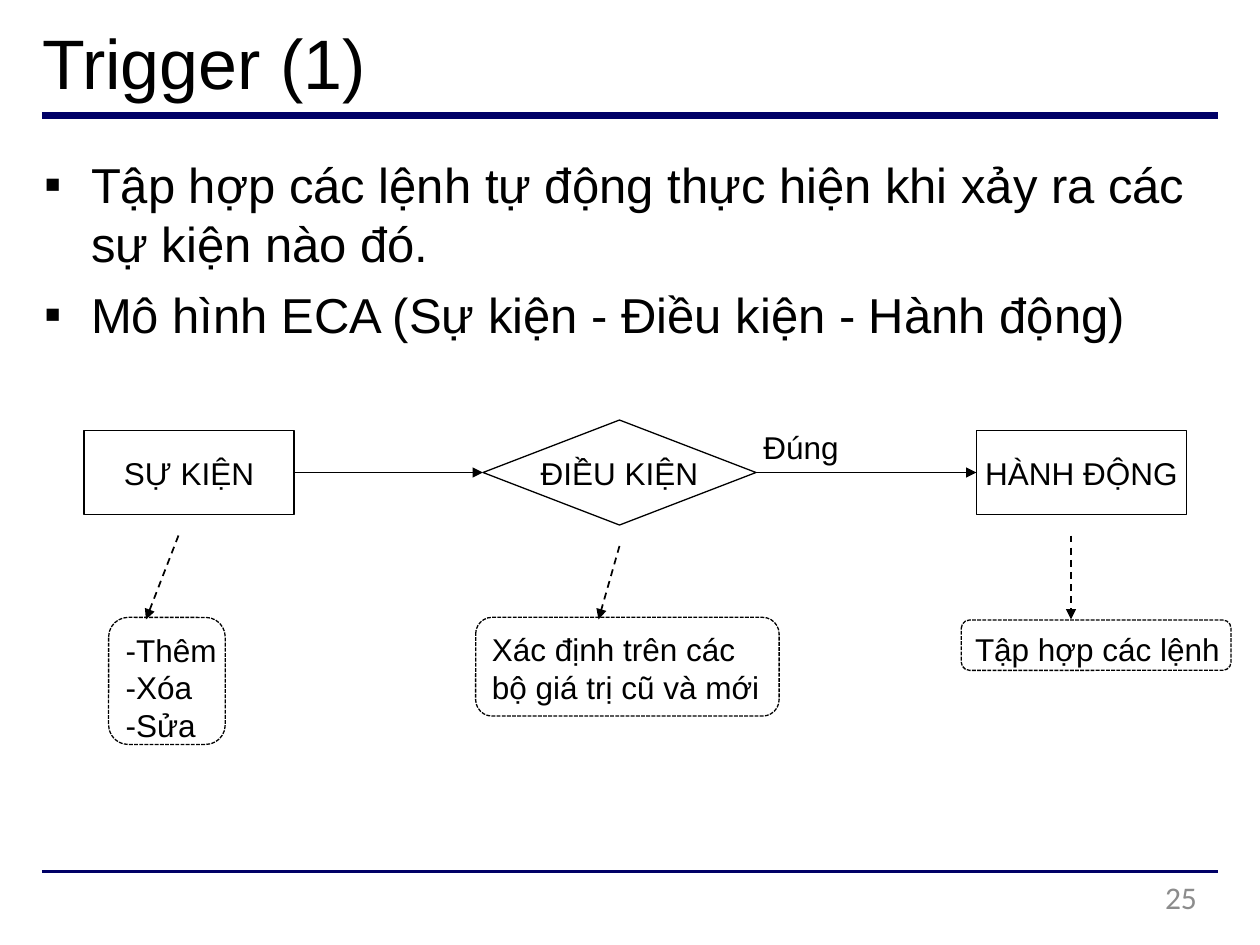
"""Build the slide on the event, condition, action model of triggers."""
from dataclasses import dataclass

from lxml import etree
from pptx import Presentation
from pptx.dml.color import RGBColor
from pptx.enum.dml import MSO_LINE
from pptx.enum.shapes import MSO_CONNECTOR, MSO_SHAPE
from pptx.enum.text import MSO_ANCHOR, PP_ALIGN
from pptx.oxml.ns import qn
from pptx.util import Inches, Pt

RECTANGLE, DIAMOND, ROUNDED = MSO_SHAPE.RECTANGLE, MSO_SHAPE.DIAMOND, MSO_SHAPE.ROUNDED_RECTANGLE
STRAIGHT = MSO_CONNECTOR.STRAIGHT
DASH, SQUARE_DOT = MSO_LINE.DASH, MSO_LINE.SQUARE_DOT
TOP, MIDDLE = MSO_ANCHOR.TOP, MSO_ANCHOR.MIDDLE
LEFT, CENTER, RIGHT = PP_ALIGN.LEFT, PP_ALIGN.CENTER, PP_ALIGN.RIGHT
LEFT_SITE, RIGHT_SITE = 1, 3


@dataclass(frozen=True)
class Theme:
    ink: RGBColor = RGBColor(0, 0, 0)
    rule: RGBColor = RGBColor(0, 0, 0x66)
    muted: RGBColor = RGBColor(0x8C, 0x8C, 0x8C)
    font: str = "Arial"
    number_font: str = "Calibri"
    title: int = 40
    body: int = 28
    label: int = 18
    outline: float = 0.75
    arrow: float = 1


THEME = Theme()
WIDTH, HEIGHT = Inches(10), Inches(7.5)
COLUMNS, ROWS = 120, 90

TITLE = ("Trigger (1)", (4, 1.9, 106, 8))
BULLETS = [
    "Tập hợp các lệnh tự động thực hiện khi xảy ra các sự kiện nào đó.",
    "Mô hình ECA (Sự kiện - Điều kiện - Hành động)",
]
BULLET_AREA = (4, 14.7, 109.5, 18)
NODES = [
    ("SỰ KIỆN", RECTANGLE, (8, 41, 20, 8)),
    ("ĐIỀU KIỆN", DIAMOND, (46, 40, 26, 10)),
    ("HÀNH ĐỘNG", RECTANGLE, (93, 41, 20, 8)),
]
BRANCH = ("Đúng", (72.7, 40.8, 8, 4))
NOTES = [
    (["-Thêm", "-Xóa", "-Sửa"], (10.35, 58.8, 11.1, 12.1), (17, 51, 13.9, 59)),
    (["Xác định trên các", "bộ giá trị cũ và mới"], (45.3, 58.8, 28.9, 9.4), (59, 52, 57, 59)),
    (["Tập hợp các lệnh"], (91.55, 59.05, 25.7, 4.8), (102, 51, 102, 59)),
]
RULES = [(11, 4.5), (83, 2.25)]
PAGE_NUMBER = ("25", (86.4, 83.65, 27.6, 4.5))


def across(columns):
    return int(WIDTH * columns / COLUMNS)


def down(rows):
    return int(HEIGHT * rows / ROWS)


def place(area):
    left, top, width, height = area
    return across(left), down(top), across(width), down(height)


def write(box, lines, size, align=LEFT, anchor=TOP, wrap=False, inset=(0, 0),
          color=THEME.ink, font=THEME.font):
    frame = box.text_frame
    frame.word_wrap = wrap
    frame.vertical_anchor = anchor
    frame.margin_left, frame.margin_top = Inches(inset[0]), Inches(inset[1])
    frame.margin_right = frame.margin_bottom = 0
    for index, line in enumerate(lines):
        para = frame.add_paragraph() if index else frame.paragraphs[0]
        para.alignment = align
        span = para.add_run()
        span.text = line
        span.font.size = Pt(size)
        span.font.name = font
        span.font.color.rgb = color
    return frame


def add_text(page, lines, area, size, **options):
    return write(page.shapes.add_textbox(*place(area)), lines, size, **options)


def add_bullets(page):
    frame = add_text(page, BULLETS, BULLET_AREA, THEME.body, wrap=True)
    for index, para in enumerate(frame.paragraphs):
        para.space_before = Pt(7 if index else 0)
        properties = para._p.get_or_add_pPr()
        properties.set("marL", str(Inches(0.39)))
        properties.set("indent", str(Inches(-0.37)))
        etree.SubElement(properties, qn("a:buFont"), typeface=THEME.font)
        etree.SubElement(properties, qn("a:buChar"), char="▪")


def add_outline(page, kind, area):
    shape = page.shapes.add_shape(kind, *place(area))
    shape.shadow.inherit = False
    shape.fill.background()
    shape.line.color.rgb = THEME.ink
    shape.line.width = Pt(THEME.outline)
    return shape


def add_line(page, ends, color, width, arrow=False):
    left, top, right, bottom = ends
    line = page.shapes.add_connector(STRAIGHT, across(left), down(top), across(right), down(bottom))
    line.line.color.rgb = color
    line.line.width = Pt(width)
    if arrow:
        etree.SubElement(line.line._get_or_add_ln(), qn("a:tailEnd"), type="triangle")
    etree.SubElement(line._element.spPr, qn("a:effectLst"))
    return line


def add_flow(page):
    shapes = []
    for label, kind, area in NODES:
        shape = add_outline(page, kind, area)
        write(shape, [label], THEME.label, align=CENTER, anchor=MIDDLE)
        shapes.append(shape)
    for start, end in zip(shapes, shapes[1:]):
        arrow = add_line(page, (0, 0, 0, 0), THEME.ink, THEME.arrow, arrow=True)
        arrow.begin_connect(start, RIGHT_SITE)
        arrow.end_connect(end, LEFT_SITE)
    add_text(page, [BRANCH[0]], BRANCH[1], THEME.label)


def add_notes(page):
    for lines, area, ends in NOTES:
        note = add_outline(page, ROUNDED, area)
        note.line.dash_style = SQUARE_DOT
        write(note, lines, THEME.label, inset=(0.09, 0.06))
        arrow = add_line(page, ends, THEME.ink, THEME.arrow, arrow=True)
        arrow.line.dash_style = DASH


def main():
    deck = Presentation()
    deck.slide_width, deck.slide_height = WIDTH, HEIGHT
    page = deck.slides.add_slide(deck.slide_layouts[6])
    for row, width in RULES:
        add_line(page, (4, row, 116, row), THEME.rule, width)
    add_text(page, [TITLE[0]], TITLE[1], THEME.title)
    add_bullets(page)
    add_flow(page)
    add_notes(page)
    add_text(page, [PAGE_NUMBER[0]], PAGE_NUMBER[1], THEME.label, align=RIGHT, wrap=True,
             color=THEME.muted, font=THEME.number_font)
    deck.save("out.pptx")


if __name__ == "__main__":
    main()
